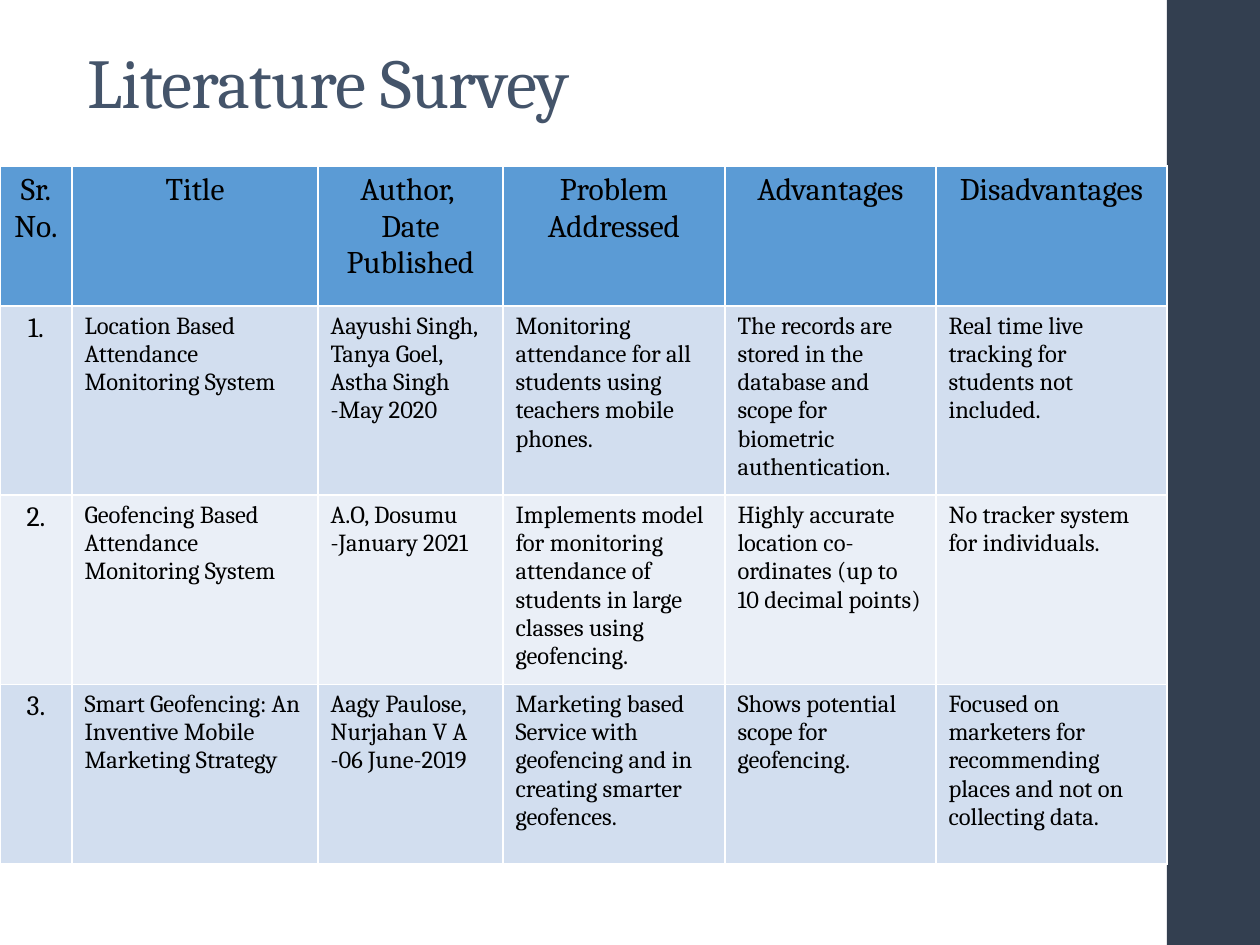
"""Build a literature survey slide with a comparison table and a dark side bar."""
from pptx import Presentation
from pptx.dml.color import RGBColor
from pptx.enum.shapes import MSO_SHAPE
from pptx.enum.text import MSO_ANCHOR, PP_ALIGN
from pptx.util import Inches, Pt

RECTANGLE = MSO_SHAPE.RECTANGLE
BOTTOM = MSO_ANCHOR.BOTTOM
CENTER, LEFT = PP_ALIGN.CENTER, PP_ALIGN.LEFT
BAR = RGBColor(0x33, 0x3F, 0x50)
TITLE = RGBColor(0x44, 0x54, 0x6A)
BLACK = RGBColor(0x00, 0x00, 0x00)
HEADER = RGBColor(0x5B, 0x9B, 0xD5)
BANDS = [RGBColor(0xEA, 0xEF, 0xF7), RGBColor(0xD2, 0xDE, 0xEF)]
FONT = "Cambria"
PIXELS_PER_INCH = 126

COLUMN_WIDTHS = [72, 246, 185, 222, 211, 231]
ROW_HEIGHTS = [140, 175, 185, 180]
ROWS = [
    ["Sr.\nNo.", "Title", "Author, \nDate Published", "Problem Addressed",
     "Advantages", "Disadvantages"],
    ["1.", "Location Based Attendance Monitoring System",
     "Aayushi Singh, Tanya Goel,\nAstha Singh\n-May 2020",
     "Monitoring attendance for all students using teachers mobile phones.",
     "The records are stored in the database and scope for biometric authentication.",
     "Real time live tracking for students not included."],
    ["2.", "Geofencing Based Attendance Monitoring System",
     "A.O, Dosumu\n-January 2021",
     "Implements model for monitoring attendance of students in large classes using geofencing.",
     "Highly accurate location co-ordinates (up to 10 decimal points)",
     "No tracker system for individuals."],
    ["3.", "Smart Geofencing: An Inventive Mobile Marketing Strategy",
     "Aagy Paulose, Nurjahan V A\n-06 June-2019",
     "Marketing based Service with geofencing and in creating smarter geofences.",
     "Shows potential scope for geofencing.",
     "Focused on marketers for recommending places and not on collecting data."],
]


def px(length):
    return Inches(length / PIXELS_PER_INCH)


def format_text(text_frame, size, color, alignment):
    values = {"name": FONT, "size": Pt(size), "bold": False}
    for paragraph in text_frame.paragraphs:
        paragraph.alignment = alignment
        for run in paragraph.runs:
            for name, value in values.items():
                setattr(run.font, name, value)
            run.font.color.rgb = color


presentation = Presentation()
presentation.slide_width = px(1260)
presentation.slide_height = px(945)
slide = presentation.slides.add_slide(presentation.slide_layouts[6])

bar = slide.shapes.add_shape(RECTANGLE, px(1167), px(0), px(94), px(945))
bar.shadow.inherit = False
bar.fill.solid()
bar.fill.fore_color.rgb = BAR
bar.line.fill.background()

title = slide.shapes.add_textbox(px(75), px(28), px(1001), px(101))
title_frame = title.text_frame
for name, value in {"word_wrap": True, "vertical_anchor": BOTTOM,
                    "text": "Literature Survey"}.items():
    setattr(title_frame, name, value)
format_text(title_frame, 40, TITLE, LEFT)
title_paragraph = title_frame.paragraphs[0]
title_paragraph.line_spacing = 0.85
title_paragraph.runs[0].font._element.set("spc", "-40")

table = slide.shapes.add_table(
    len(ROWS), len(COLUMN_WIDTHS), px(0), px(166),
    px(sum(COLUMN_WIDTHS)), px(sum(ROW_HEIGHTS))).table
for column, width in zip(table.columns, COLUMN_WIDTHS):
    column.width = px(width)
for row, height in zip(table.rows, ROW_HEIGHTS):
    row.height = px(height)

for row_index, texts in enumerate(ROWS):
    is_header = row_index == 0
    for column_index, text in enumerate(texts):
        is_number = column_index == 0
        cell = table.cell(row_index, column_index)
        cell.text = text
        cell.fill.solid()
        cell.fill.fore_color.rgb = HEADER if is_header else BANDS[row_index % 2]
        size = 18 if is_header else 16 if is_number else 14
        alignment = CENTER if is_header or is_number else LEFT
        format_text(cell.text_frame, size, BLACK, alignment)

presentation.save("out.pptx")
